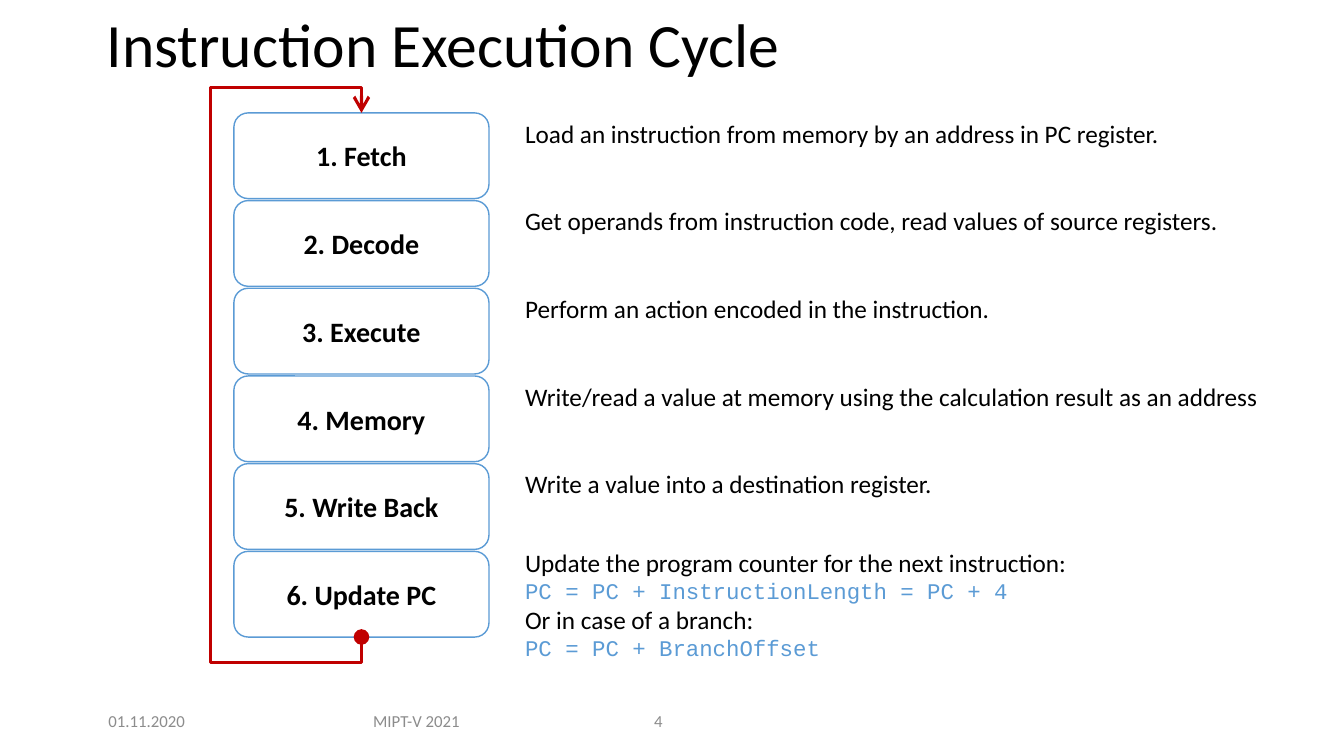
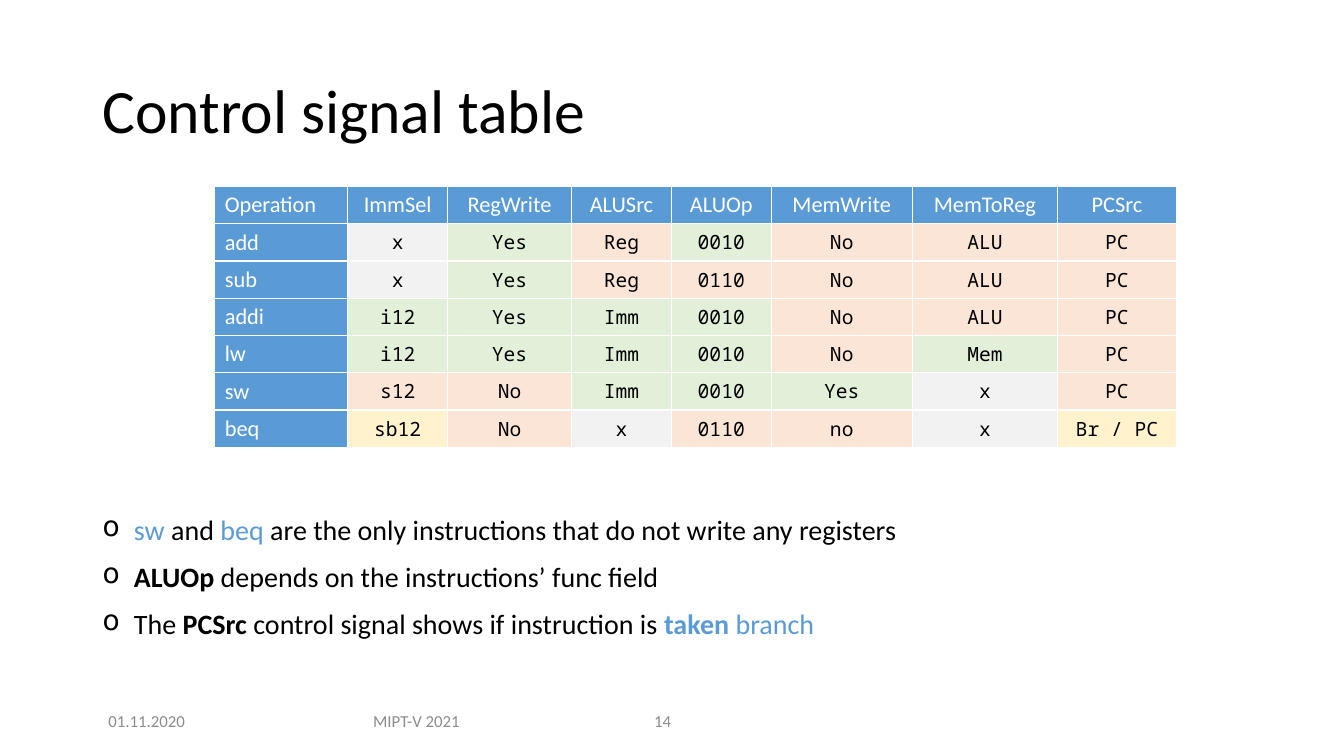
from dataclasses import dataclass
from typing import Any, NamedTuple

from lxml.etree import SubElement
from pptx import Presentation
from pptx.dml.color import RGBColor
from pptx.enum.shapes import MSO_SHAPE as Preset
from pptx.enum.text import MSO_ANCHOR as Anchor, PP_ALIGN as Align
from pptx.oxml.ns import qn
from pptx.util import Inches, Pt


@dataclass(frozen=True)
class Theme:
    black: str = "000000"
    white: str = "FFFFFF"
    blue: str = "5B9BD5"
    red: str = "C00000"
    footer_grey: str = "8C8C8C"
    neutral: str = "F2F2F2"
    green: str = "E2F0D9"
    orange: str = "FBE5D6"
    yellow: str = "FFF2CC"
    body_font: str = "Calibri"
    code_font: str = "Courier New"
    table_font: str = "Noto Sans Mono"
    title_size: int = 44
    strong_size: int = 20
    text_size: int = 18
    code_size: int = 16
    header_size: int = 16
    value_size: int = 14
    footer_size: int = 12


THEME = Theme()


class Area(NamedTuple):
    left: float
    top: float
    width: float
    height: float

    def lengths(self) -> list[int]:
        return [Inches(value) for value in self]


class Span(NamedTuple):
    text: str
    size: int = THEME.text_size
    color: str = THEME.black
    bold: bool = False
    font: str = THEME.body_font


class Step(NamedTuple):
    name: str
    lines: list[Span]
    text_offset: float = 0


class FooterItem(NamedTuple):
    text: str
    left: float
    width: float
    align: Align


def code(text: str) -> Span:
    return Span(text, THEME.code_size, THEME.blue, font=THEME.code_font)


def strong(text: str, color: str = THEME.black, bold: bool = False) -> Span:
    return Span(text, THEME.strong_size, color, bold)


STEPS = [
    Step("Fetch", [Span("Load an instruction from memory by an address in PC register.")]),
    Step("Decode", [Span("Get operands from instruction code, read values of source registers.")]),
    Step("Execute", [Span("Perform an action encoded in the instruction.")]),
    Step("Memory", [Span("Write/read a value at memory using the calculation result as an address")]),
    Step("Write Back", [Span("Write a value into a destination register.")]),
    Step("Update PC", [
        Span("Update the program counter for the next instruction:"),
        code("PC = PC + InstructionLength = PC + 4"),
        Span("Or in case of a branch:"),
        code("PC = PC + BranchOffset"),
    ], -0.09),
]

SIGNAL_ROWS = [
    ["Operation", "ImmSel", "RegWrite", "ALUSrc", "ALUOp", "MemWrite", "MemToReg", "PCSrc"],
    ["add", "x", "Yes", "Reg", "0010", "No", "ALU", "PC"],
    ["sub", "x", "Yes", "Reg", "0110", "No", "ALU", "PC"],
    ["addi", "i12", "Yes", "Imm", "0010", "No", "ALU", "PC"],
    ["lw", "i12", "Yes", "Imm", "0010", "No", "Mem", "PC"],
    ["sw", "s12", "No", "Imm", "0010", "Yes", "x", "PC"],
    ["beq", "sb12", "No", "x", "0110", "no", "x", "Br / PC"],
]
COLUMN_WIDTHS = [1.32, 0.99, 1.23, 0.99, 0.99, 1.4, 1.44, 1.18]
ROW_HEIGHT = 0.37
VALUE_FILLS = {
    "x": THEME.neutral,
    **dict.fromkeys(["i12", "Yes", "Imm", "0010", "Mem"], THEME.green),
    **dict.fromkeys(["sb12", "Br / PC"], THEME.yellow),
}

NOTES = [
    [strong("sw ", THEME.blue), strong("and "), strong("beq ", THEME.blue),
     strong("are the only instructions that do not write any registers")],
    [strong("ALUOp", bold=True), strong(" depends on the instructions’ func field")],
    [strong("The "), strong("PCSrc", bold=True),
     strong(" control signal shows if instruction is "),
     strong("taken ", THEME.blue, True), strong("branch", THEME.blue)],
]


def rgb(color: str) -> RGBColor:
    return RGBColor.from_string(color)


def apply_format(target: Any, values: dict[str, Any]) -> None:
    for name, value in values.items():
        setattr(target, name, value)


def write_spans(para: Any, spans: list[Span], **para_format: Any) -> None:
    apply_format(para, para_format)
    for span in spans:
        run = para.add_run()
        run.text = span.text
        apply_format(run.font, {"size": Pt(span.size), "bold": span.bold, "name": span.font})
        run.font.color.rgb = rgb(span.color)


def write_lines(frame: Any, lines: list[list[Span]], **para_format: Any) -> None:
    for index, spans in enumerate(lines):
        para = frame.add_paragraph() if index else frame.paragraphs[0]
        write_spans(para, spans, **para_format)


def add_text(page: Any, area: Area, lines: list[list[Span]],
             anchor: Anchor = Anchor.TOP, **para_format: Any) -> Any:
    box = page.shapes.add_textbox(*area.lengths())
    apply_format(box.text_frame, {"word_wrap": True, "vertical_anchor": anchor})
    write_lines(box.text_frame, lines, **para_format)
    return box


def add_white_shape(page: Any, preset: Preset, area: Area) -> Any:
    shape = page.shapes.add_shape(preset, *area.lengths())
    shape.shadow.inherit = False
    shape.fill.solid()
    shape.fill.fore_color.rgb = rgb(THEME.white)
    return shape


def add_corner_panel(page: Any) -> None:
    panel = add_white_shape(page, Preset.RECTANGLE, Area(8.19, 6.57, 5.15, 0.93))
    panel.line.fill.background()
    color = panel.fill._xPr.find(qn("a:solidFill"))[0]
    SubElement(color, qn("a:alpha"), val="83000")


def add_page(deck: Any, title: str, title_area: Area, number: int) -> Any:
    """Add a blank slide with the shared corner panel, title and footer."""
    page = deck.slides.add_slide(deck.slide_layouts[6])
    add_corner_panel(page)
    add_text(page, title_area, [[Span(title, THEME.title_size)]], Anchor.MIDDLE, line_spacing=0.9)
    footer = [
        FooterItem("01.11.2020", 0.92, 1.07, Align.CENTER),
        FooterItem("MIPT-V 2021", 3.34, 1.58, Align.CENTER),
        FooterItem(str(number), 6.39, 0.79, Align.LEFT),
    ]
    for item in footer:
        span = Span(item.text, THEME.footer_size, THEME.footer_grey)
        add_text(page, Area(item.left, 6.95, item.width, 0.4), [[span]],
                 Anchor.MIDDLE, alignment=item.align)
    return page


def add_step_box(page: Any, area: Area, label: str) -> None:
    box = add_white_shape(page, Preset.ROUNDED_RECTANGLE, area)
    box.line.color.rgb = rgb(THEME.blue)
    box.line.width = Pt(1)
    box.text_frame.vertical_anchor = Anchor.MIDDLE
    write_lines(box.text_frame, [[strong(label, bold=True)]], alignment=Align.CENTER)


def add_return_arrow(page: Any, first: Area, last: Area) -> None:
    """Lead from the last step around the left side back to the first."""
    middle = first.left + first.width / 2
    side = first.left - 0.23
    bottom = last.top + last.height
    gap = 0.25
    route = [(middle, bottom), (middle, bottom + gap), (side, bottom + gap),
             (side, first.top - gap), (middle, first.top - gap), (middle, first.top)]
    points = [(Inches(x), Inches(y)) for x, y in route]
    builder = page.shapes.build_freeform(*points[0])
    builder.add_line_segments(points[1:], close=False)
    arrow = builder.convert_to_shape()
    arrow.shadow.inherit = False
    arrow.fill.background()
    arrow.line.color.rgb = rgb(THEME.red)
    arrow.line.width = Pt(2.25)
    outline = arrow.line._get_or_add_ln()
    for tag, kind in (("a:headEnd", "oval"), ("a:tailEnd", "arrow")):
        SubElement(outline, qn(tag), type=kind, w="lg", len="lg")


def add_cell_borders(cell: Any) -> None:
    properties = cell._tc.get_or_add_tcPr()
    for tag in ("a:lnL", "a:lnR", "a:lnT", "a:lnB"):
        border = SubElement(properties, qn(tag), w=str(Pt(1)))
        fill = SubElement(border, qn("a:solidFill"))
        SubElement(fill, qn("a:srgbClr"), val=THEME.white)


def add_signal_table(page: Any, left: float, top: float) -> None:
    area = Area(left, top, sum(COLUMN_WIDTHS), ROW_HEIGHT * len(SIGNAL_ROWS))
    table = page.shapes.add_table(len(SIGNAL_ROWS), len(COLUMN_WIDTHS), *area.lengths()).table
    for column, width in zip(table.columns, COLUMN_WIDTHS):
        column.width = Inches(width)
    for row_index, values in enumerate(SIGNAL_ROWS):
        table.rows[row_index].height = Inches(ROW_HEIGHT)
        for column_index, value in enumerate(values):
            cell = table.cell(row_index, column_index)
            if row_index == 0 or column_index == 0:
                fill = THEME.blue
                span = Span(value, THEME.header_size, THEME.white)
            else:
                fill = VALUE_FILLS.get(value, THEME.orange)
                span = Span(value, THEME.value_size, font=THEME.table_font)
            add_cell_borders(cell)
            cell.fill.solid()
            cell.fill.fore_color.rgb = rgb(fill)
            if row_index == 0 and column_index:
                cell.vertical_anchor = Anchor.MIDDLE
            align = Align.CENTER if column_index else Align.LEFT
            write_lines(cell.text_frame, [[span]], alignment=align)


def add_bullet(para: Any) -> None:
    properties = para._p.get_or_add_pPr()
    indent = Inches(0.31)
    properties.set("marL", str(indent))
    properties.set("indent", str(-indent))
    color = SubElement(properties, qn("a:buClr"))
    SubElement(color, qn("a:srgbClr"), val=THEME.black)
    SubElement(properties, qn("a:buChar"), char="o")


def build_cycle_page(deck: Any) -> None:
    page = add_page(deck, "Instruction Execution Cycle", Area(0.96, -0.03, 11.5, 1.01), 4)
    areas = [Area(2.32, 1.12 + 0.87 * index, 2.53, 0.85) for index in range(len(STEPS))]
    for number, (step, area) in enumerate(zip(STEPS, areas), start=1):
        add_step_box(page, area, f"{number}. {step.name}")
        text_area = Area(5.11, area.top + step.text_offset, 7.57, 0.1 + 0.3 * len(step.lines))
        add_text(page, text_area, [[line] for line in step.lines])
    add_return_arrow(page, areas[0], areas[-1])


def build_signal_page(deck: Any) -> None:
    page = add_page(deck, "Control signal table", Area(0.92, 0.4, 11.5, 1.45), 14)
    add_signal_table(page, 2.13, 1.85)
    box = add_text(page, Area(0.92, 5.07, 11.5, 1.7), NOTES, line_spacing=0.9)
    for index, para in enumerate(box.text_frame.paragraphs):
        add_bullet(para)
        if index:
            para.space_before = Pt(12)


def main() -> None:
    deck = Presentation()
    apply_format(deck, {"slide_width": Inches(13.33), "slide_height": Inches(7.5)})
    build_cycle_page(deck)
    build_signal_page(deck)
    deck.save("out.pptx")


if __name__ == "__main__":
    main()
